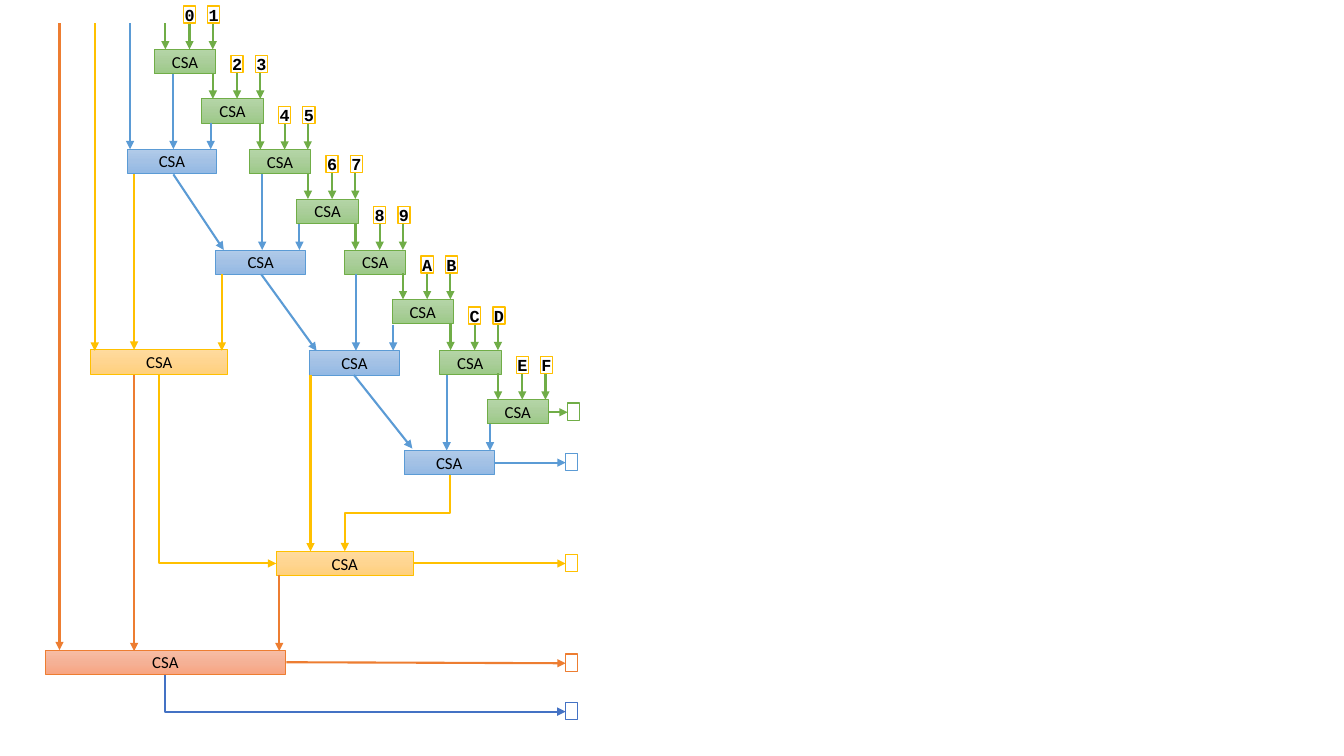
from copy import deepcopy
from dataclasses import dataclass

from pptx import Presentation
from pptx import util as u
from pptx.dml.color import RGBColor
from pptx.enum import shapes, text
from pptx.oxml import ns, xmlchemy


@dataclass(frozen=True)
class Tier:
    """Colours of one bit weight in the adder tree."""
    line: str
    gradient: tuple = ()


class Theme:
    ones = Tier("70AD47", ("B5D5A7", "AACE9A", "9CC987"))
    twos = Tier("5B9BD5", ("B1CBE9", "A3C1E5", "93B9E4"))
    fours = Tier("FFC000", ("FFDB9E", "FFD590", "FFD07C"))
    eights = Tier("ED7D31", ("F7BDA5", "F5B196", "F8A582"))
    sixteens = Tier("4472C4")
    ink = "000000"
    paper = "FFFFFF"
    label_font = "Calibri"
    digit_font = "Courier New"
    text_size = 12
    adder_border = 0.5
    cell_border = 1
    wire_width = 1.5


ADDER_HEIGHT = 0.24
ARROW_LENGTH = 0.26
CELL_WIDTH, CELL_HEIGHT = 0.12, 0.17


class Diagram:
    def __init__(self, page, theme):
        self.page = page
        self.theme = theme

    def rectangle(self, left, top, width, height, color, border):
        box = self.page.shapes.add_shape(
            shapes.MSO_SHAPE.RECTANGLE, u.Inches(left), u.Inches(top),
            u.Inches(width), u.Inches(height))
        box.shadow.inherit = False
        box.line.color.rgb = RGBColor.from_string(color)
        box.line.width = u.Pt(border)
        return box

    def label(self, box, words, font, bold=False):
        frame = box.text_frame
        frame.margin_left = frame.margin_right = 0
        frame.margin_top = frame.margin_bottom = 0
        frame.word_wrap = False
        frame.vertical_anchor = text.MSO_ANCHOR.MIDDLE
        para = frame.paragraphs[0]
        para.text = words
        para.alignment = text.PP_ALIGN.CENTER
        para.font.name = font
        para.font.size = u.Pt(self.theme.text_size)
        para.font.bold = bold
        para.font.color.rgb = RGBColor.from_string(self.theme.ink)

    def adder(self, left, top, width, tier):
        box = self.rectangle(left, top, width, ADDER_HEIGHT, tier.line,
                             self.theme.adder_border)
        box.fill.gradient()
        box.fill.gradient_angle = 270
        stops = box.element.xpath(".//a:gsLst")[0]
        stops.append(deepcopy(stops[0]))
        for stop, color, position in zip(box.fill.gradient_stops,
                                         tier.gradient, (0, 0.5, 1)):
            stop.color.rgb = RGBColor.from_string(color)
            stop.position = position
        self.label(box, "CSA", self.theme.label_font)

    def cell(self, left, top, tier, digit=None):
        box = self.rectangle(left, top, CELL_WIDTH, CELL_HEIGHT, tier.line,
                             self.theme.cell_border)
        box.fill.solid()
        box.fill.fore_color.rgb = RGBColor.from_string(self.theme.paper)
        if digit:
            self.label(box, digit, self.theme.digit_font, bold=True)

    def arrow(self, x1, y1, x2, y2, tier, kind=shapes.MSO_CONNECTOR.STRAIGHT):
        wire = self.page.shapes.add_connector(
            kind, u.Inches(x1), u.Inches(y1), u.Inches(x2), u.Inches(y2))
        wire.line.color.rgb = RGBColor.from_string(tier.line)
        wire.line.width = u.Pt(self.theme.wire_width)
        line = wire.element.xpath("./p:spPr/a:ln")[0]
        head = xmlchemy.OxmlElement("a:tailEnd")
        head.set("type", "triangle")
        line.append(head)
        line.addnext(xmlchemy.OxmlElement("a:effectLst"))
        return wire

    def elbow(self, x1, y1, x2, y2, tier, preset):
        """Arrow that leaves downwards: a turned connector about the same centre."""
        across, down = abs(x2 - x1), y2 - y1
        left, top = (x1 + x2 - down) / 2, (y1 + y2 - across) / 2
        wire = self.arrow(left, top, left + down, top + across, tier,
                          shapes.MSO_CONNECTOR.ELBOW)
        frame = wire.element.xpath("./p:spPr/a:xfrm")[0]
        frame.set("rot", str((270 if x2 > x1 else 90) * 60000))
        if x2 > x1:
            frame.set("flipH", "1")
        wire.element.find(".//" + ns.qn("a:prstGeom")).set("prst", preset)


def draw_ones(diagram, theme):
    """Staircase of adders, each fed by two digits and a running sum."""
    for step in range(8):
        left = 1.53 + step * 3.3 / 7
        top = 0.49 + step // 2 * 0.995 + step % 2 * 0.49
        diagram.adder(left, top, 0.61, theme.ones)
        for offset in (0.11, 0.35, 0.58):
            diagram.arrow(left + offset, top - ARROW_LENGTH, left + offset, top,
                          theme.ones)
        for offset, digit in zip((0.29, 0.53),
                                 "0123456789ABCDEF"[2 * step:2 * step + 2]):
            diagram.cell(left + offset, top - 0.43, theme.fours, digit)


def draw_carries(diagram, theme):
    ones, twos, fours, eights = theme.ones, theme.twos, theme.fours, theme.eights
    for left, top, width, tier in (
            (1.26, 1.48, 0.89, twos), (2.14, 2.48, 0.89, twos),
            (3.07, 3.48, 0.89, twos), (4.01, 4.47, 0.89, twos),
            (0.9, 3.47, 1.36, fours), (2.74, 5.47, 1.36, fours),
            (0.45, 6.45, 2.38, eights)):
        diagram.adder(left, top, width, tier)

    for x, top, bottom, tier in (
            (1.29, 0.23, 1.48, twos), (1.72, 0.73, 1.48, twos),
            (2.09, 1.22, 1.48, twos), (2.6, 1.73, 2.48, twos),
            (2.97, 2.22, 2.48, twos), (3.53, 2.72, 3.48, twos),
            (3.9, 3.22, 3.48, twos), (4.43, 3.72, 4.47, twos),
            (4.86, 4.21, 4.47, twos),
            (0.94, 0.23, 3.48, fours), (1.33, 1.73, 3.47, fours),
            (2.2, 2.72, 3.48, fours), (3.08, 3.72, 5.47, fours),
            (0.59, 0.23, 6.45, eights), (1.33, 3.72, 6.46, eights),
            (2.77, 5.7, 6.46, eights)):
        diagram.arrow(x, top, x, bottom, tier)

    for ends in ((1.72, 1.73, 2.22, 2.48), (2.59, 2.72, 3.14, 3.48),
                 (3.51, 3.72, 4.09, 4.45)):
        diagram.arrow(*ends, twos)

    diagram.elbow(4.46, 4.71, 3.42, 5.47, fours, "bentConnector3")
    diagram.elbow(1.58, 3.72, 2.74, 5.59, fours, "bentConnector2")


def draw_outputs(diagram, theme):
    for left, top, tier in (
            (5.63, 4, theme.ones), (5.61, 4.5, theme.twos),
            (5.61, 5.5, theme.fours), (5.61, 6.49, theme.eights),
            (5.61, 6.97, theme.sixteens)):
        diagram.cell(left, top, tier)
    for ends, tier in (
            ((5.44, 4.09, 5.63, 4.09), theme.ones),
            ((4.9, 4.59, 5.61, 4.59), theme.twos),
            ((4.1, 5.59, 5.61, 5.59), theme.fours),
            ((2.84, 6.57, 5.61, 6.58), theme.eights)):
        diagram.arrow(*ends, tier)
    diagram.elbow(1.64, 6.7, 5.61, 7.06, theme.sixteens, "bentConnector2")


def main():
    deck = Presentation()
    deck.slide_width, deck.slide_height = u.Inches(13.33), u.Inches(7.5)
    theme = Theme()
    diagram = Diagram(deck.slides.add_slide(deck.slide_layouts[6]), theme)
    draw_ones(diagram, theme)
    draw_carries(diagram, theme)
    draw_outputs(diagram, theme)
    deck.save("out.pptx")


if __name__ == "__main__":
    main()
